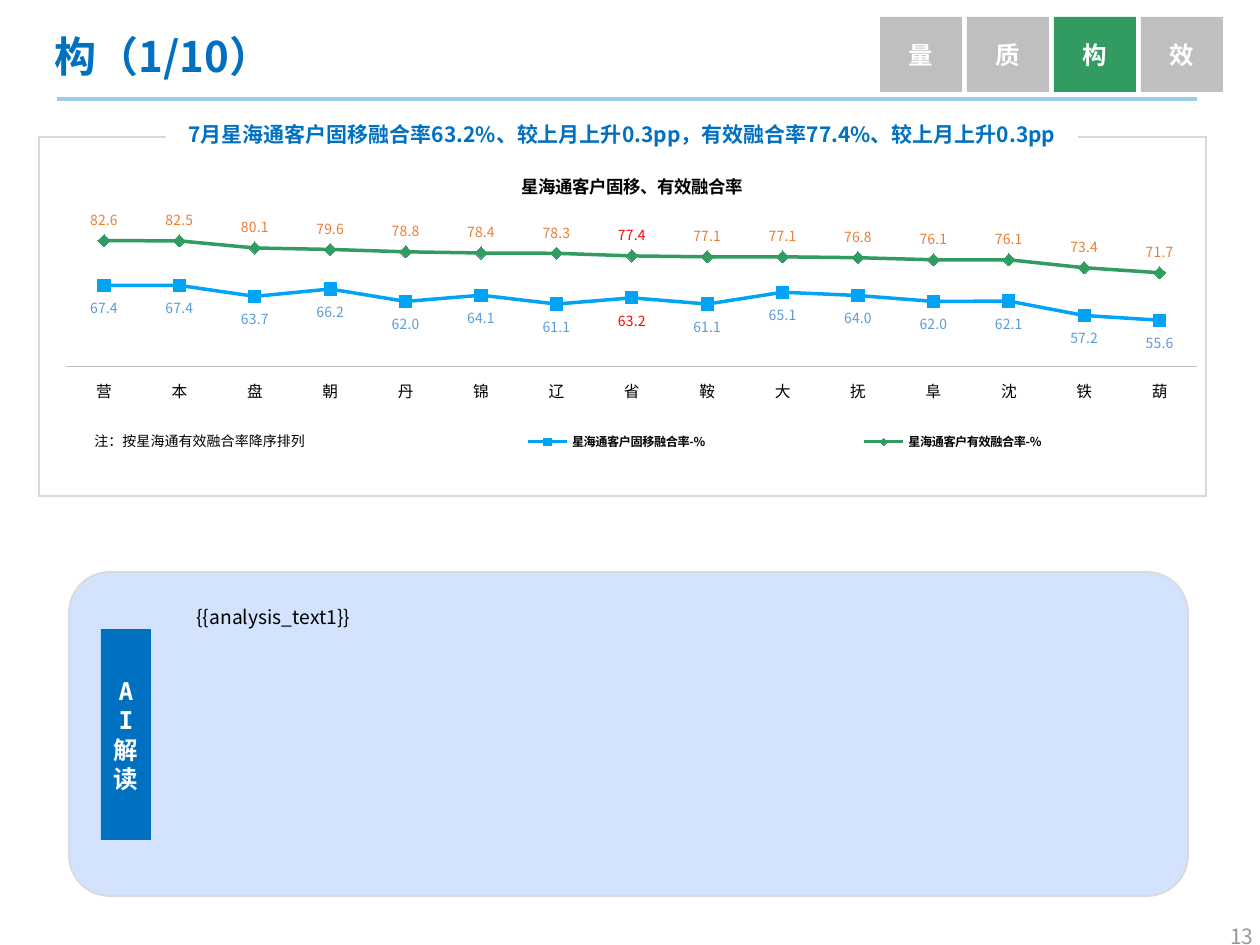
from lxml import etree
from pptx import Presentation
from pptx import util as u
from pptx.chart.data import CategoryChartData
from pptx.dml.color import RGBColor
from pptx.enum import chart as ch
from pptx.enum import shapes, text
from pptx.oxml import parse_xml
from pptx.oxml.ns import nsdecls, qn

PX = 914400 / 126
SANS, MONO = "Noto Sans CJK SC", "DejaVu Sans Mono"
C = {
    "blue": "0070C0", "sky": "9ACBEB", "grey": "BFBFBF", "green": "319B62",
    "white": "FFFFFF", "black": "000000", "border": "D9D9D9", "panel": "D4E3FD",
    "page": "969696", "cyan": "00A3F5", "label_blue": "5B9BD5",
    "label_orange": "ED7D31", "red": "FF0000",
}
CITIES = list("营本盘朝丹锦辽省鞍大抚阜沈铁葫")
PROVINCE = CITIES.index("省")
MOBILE = [67.4, 67.4, 63.7, 66.2, 62.0, 64.1, 61.1, 63.2, 61.1, 65.1, 64.0, 62.0, 62.1, 57.2, 55.6]
EFFECTIVE = [82.6, 82.5, 80.1, 79.6, 78.8, 78.4, 78.3, 77.4, 77.1, 77.1, 76.8, 76.1, 76.1, 73.4, 71.7]


def rgb(name):
    return RGBColor.from_string(C[name])


def box(*px):
    return [u.Emu(round(v * PX)) for v in px]


def set_font(font, size, color="black", bold=False, name=SANS, east=SANS):
    """Set Latin and East Asian faces together with size and colour."""
    font.size, font.bold, font.name = u.Pt(size), bold, name
    font.color.rgb = rgb(color)
    etree.SubElement(font._rPr, qn("a:ea")).set("typeface", east)


def set_layout(element, x, y, w, h, inner=False):
    """Place a chart part by fractions of the chart area."""
    layout = element.find(qn("c:layout"))
    if layout is None:
        layout = etree.Element(qn("c:layout"))
        element.insert(1 if element.find(qn("c:legendPos")) is not None else 0, layout)
    for child in list(layout):
        layout.remove(child)
    manual = etree.SubElement(layout, qn("c:manualLayout"))
    parts = [("layoutTarget", "inner")] if inner else []
    parts += [("xMode", "edge"), ("yMode", "edge"), ("x", x), ("y", y), ("w", w), ("h", h)]
    for tag, value in parts:
        etree.SubElement(manual, qn("c:" + tag)).set("val", str(value))


class Deck:
    def __init__(self):
        self.prs = Presentation()
        self.prs.slide_width, self.prs.slide_height = u.Inches(10), u.Inches(7.5)
        self.s = self.prs.slides.add_slide(self.prs.slide_layouts[5])

    def put_text(self, sp, lines, size, color, bold=False, align="LEFT", anchor="TOP",
                 spacing=None, wrap=True, name=SANS, east=SANS):
        tf = sp.text_frame
        tf.word_wrap = wrap
        tf.auto_size = text.MSO_AUTO_SIZE.NONE if wrap else text.MSO_AUTO_SIZE.SHAPE_TO_FIT_TEXT
        tf.vertical_anchor = getattr(text.MSO_ANCHOR, anchor)
        for i, line in enumerate(lines):
            p = tf.paragraphs[0] if i == 0 else tf.add_paragraph()
            p.alignment = getattr(text.PP_ALIGN, align)
            if spacing:
                p.line_spacing = spacing
            r = p.add_run()
            r.text = line
            set_font(r.font, size, color, bold, name, east)

    def title(self, px, line):
        sp = self.s.shapes.title
        sp.left, sp.top, sp.width, sp.height = box(*px)
        self.put_text(sp, [line], 24, "blue", True, anchor="MIDDLE", spacing=0.9)

    def label(self, px, line, size, color="black", **style):
        self.put_text(self.s.shapes.add_textbox(*box(*px)), [line], size, color, **style)

    def block(self, px, fill, lines=(), size=14, color="white", anchor="MIDDLE", radius=None,
              border=None, **fonts):
        kind = shapes.MSO_SHAPE.ROUNDED_RECTANGLE if radius else shapes.MSO_SHAPE.RECTANGLE
        sp = self.s.shapes.add_shape(kind, *box(*px))
        sp.shadow.inherit = False
        sp.fill.solid()
        sp.fill.fore_color.rgb = rgb(fill)
        if radius:
            sp.adjustments[0] = radius
        if border:
            sp.line.color.rgb, sp.line.width = rgb(border), u.Pt(1)
        else:
            sp.line.fill.background()
        self.put_text(sp, lines, size, color, True, "CENTER", anchor, **fonts)

    def rule(self, x1, y1, x2, y2, color, width):
        line = self.s.shapes.add_connector(shapes.MSO_CONNECTOR.STRAIGHT, *box(x1, y1, x2, y2))
        line.line.color.rgb, line.line.width = rgb(color), u.Pt(width)
        etree.SubElement(line._element.spPr, qn("a:effectLst"))

    def frame(self, px, color):
        """Draw a bordered one-cell table."""
        table = self.s.shapes.add_table(1, 1, *box(*px)).table
        table.first_row = table.horz_banding = False
        cell = table.cell(0, 0)
        cell.fill.background()
        tcPr = cell._tc.get_or_add_tcPr()
        for i, side in enumerate("LRTB"):
            tcPr.insert(i, parse_xml(
                f'<a:ln{side} {nsdecls("a")} w="12700"><a:solidFill><a:srgbClr val="{C[color]}"/>'
                f'</a:solidFill></a:ln{side}>'))

    def line_chart(self, px, title, cats, series, highlight):
        data = CategoryChartData(number_format="0.0")
        data.categories = cats
        for name, values, *_ in series:
            data.add_series(name, values)
        chart = self.s.shapes.add_chart(ch.XL_CHART_TYPE.LINE_MARKERS, *box(*px), data).chart
        set_font(chart.font, 8)
        r = chart.chart_title.text_frame.paragraphs[0].add_run()
        r.text = title
        set_font(r.font, 10, bold=True)

        chart.has_legend = True
        chart.legend.position = ch.XL_LEGEND_POSITION.BOTTOM
        chart.legend.include_in_layout = False
        set_font(chart.legend.font, 7, bold=True)
        set_layout(chart.legend._element, 0.27, 0.87, 0.73, 0.08)
        set_layout(chart._chartSpace.chart.plotArea, 0, 0.2, 1, 0.47, inner=True)

        cat, val = chart.category_axis, chart.value_axis
        cat.tick_label_position = ch.XL_TICK_LABEL_POSITION.LOW
        cat.major_tick_mark = ch.XL_TICK_MARK.NONE
        cat.format.line.color.rgb, cat.format.line.width = rgb("grey"), u.Pt(0.75)
        set_font(cat.tick_labels.font, 9)
        val.minimum_scale, val.maximum_scale, val.major_unit = 40, 90, 4
        val.has_major_gridlines = False
        val.tick_label_position = ch.XL_TICK_LABEL_POSITION.NONE
        val.format.line.fill.background()

        chart.plots[0].vary_by_categories = False
        for ser, (_, _, color, label_color, marker, side) in zip(chart.plots[0].series, series):
            position = getattr(ch.XL_LABEL_POSITION, side)
            ser.smooth = False
            ser.format.line.color.rgb, ser.format.line.width = rgb(color), u.Pt(2)
            ser.marker.style, ser.marker.size = getattr(ch.XL_MARKER_STYLE, marker), 7
            ser.marker.format.fill.solid()
            ser.marker.format.fill.fore_color.rgb = rgb(color)
            ser.marker.format.line.color.rgb = rgb(color)
            labels = ser.data_labels
            labels.show_value, labels.position = True, position
            labels.number_format, labels.number_format_is_linked = "0.0", False
            set_font(labels.font, 8, label_color)
            point = ser.points[highlight].data_label
            set_font(point.font, 8, "red")
            point.position = position


def main():
    d = Deck()
    d.label((1197, 910, 69, 47), "13", 12, "page", align="RIGHT", spacing=1.3,
            name="Noto Sans CJK JP")
    d.rule(57, 99, 1197, 99, "sky", 2.25)
    d.frame((39, 137, 1167, 359), "border")
    d.line_chart((59, 156, 1139, 314), "星海通客户固移、有效融合率", CITIES, [
        ("星海通客户固移融合率-%", MOBILE, "cyan", "label_blue", "SQUARE", "BELOW"),
        ("星海通客户有效融合率-%", EFFECTIVE, "green", "label_orange", "DIAMOND", "ABOVE"),
    ], PROVINCE)
    d.label((82, 426, 237, 30), "注：按星海通有效融合率降序排列", 8, wrap=False)
    d.block((166, 115, 912, 35), "white",
            ["7月星海通客户固移融合率63.2%、较上月上升0.3pp，有效融合率77.4%、较上月上升0.3pp"],
            12, "blue", "TOP")
    d.title((42, 21, 1193, 76), "构（1/10）")
    for i, tab in enumerate("量质构效"):
        d.block((880 + 87 * i, 17, 82, 75), "green" if tab == "构" else "grey", [tab])
    d.block((69, 572, 1119, 324), "panel", radius=0.126, border="border")
    d.label((184, 588, 964, 294), "{{analysis_text1}}", 11, spacing=1.5)
    d.block((101, 629, 50, 211), "blue", ["AI解", "读"], name=MONO)
    d.prs.save("out.pptx")


if __name__ == "__main__":
    main()
